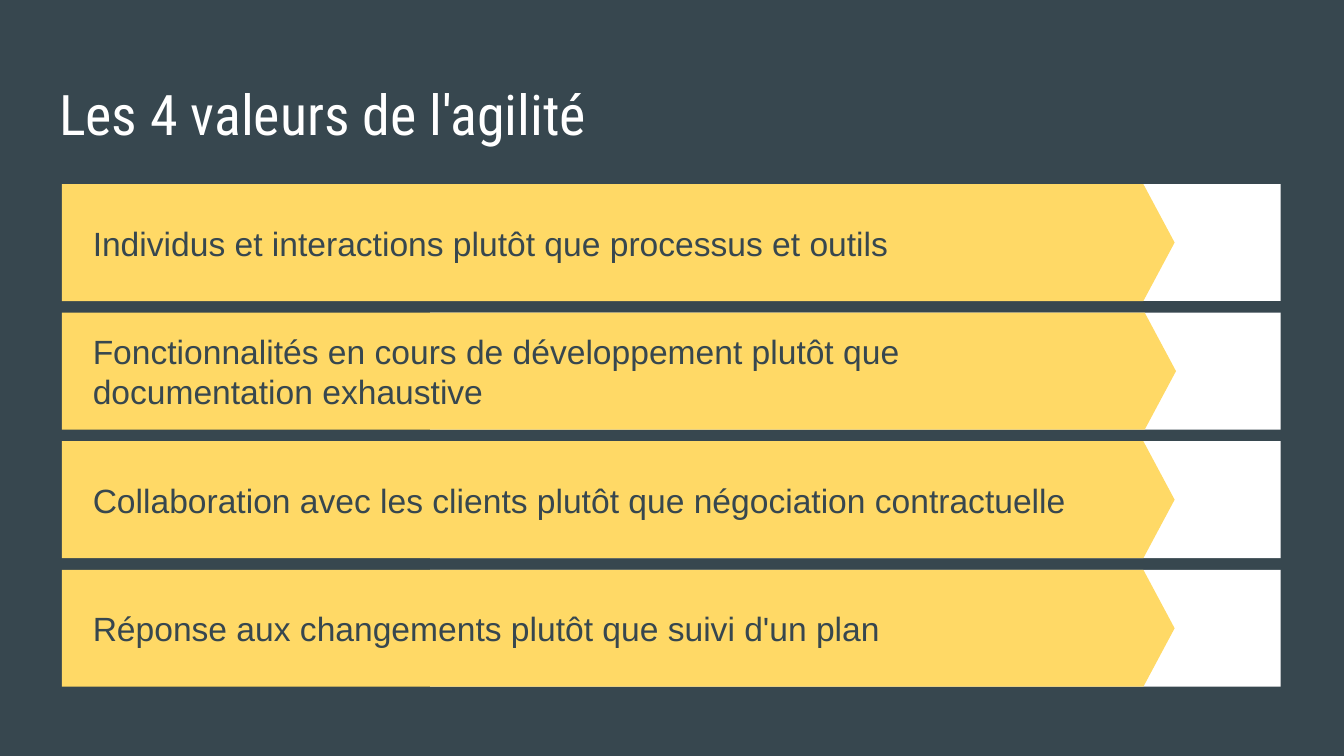
from pptx import Presentation
from pptx.dml.color import RGBColor
from pptx.enum.shapes import MSO_SHAPE
from pptx.enum.text import MSO_ANCHOR, MSO_AUTO_SIZE, PP_ALIGN
from pptx.oxml.ns import qn
from pptx.util import Inches, Pt

RECTANGLE = MSO_SHAPE.RECTANGLE
PENTAGON = MSO_SHAPE.PENTAGON
TOP, MIDDLE = MSO_ANCHOR.TOP, MSO_ANCHOR.MIDDLE
NO_AUTOFIT = MSO_AUTO_SIZE.NONE
LEFT = PP_ALIGN.LEFT

TITLE = "Les 4 valeurs de l'agilité"
VALUES = [
    ("Individus et interactions plutôt que processus et outils", 8.28, 7.69),
    ("Fonctionnalités en cours de développement plutôt que documentation exhaustive", 8.29, 7.76),
    ("Collaboration avec les clients plutôt que négociation contractuelle", 8.28, 7.87),
    ("Réponse aux changements plutôt que suivi d'un plan", 8.28, 7.87),
]
COLORS = {"slate": "37474F", "yellow": "FFD966", "white": "FFFFFF"}

SLIDE_WIDTH = 10
SLIDE_HEIGHT = SLIDE_WIDTH * 9 / 16
FIRST_ROW_TOP, LAST_ROW_TOP, ROW_HEIGHT = 1.37, 4.24, 0.87
ROW_STEP = (LAST_ROW_TOP - FIRST_ROW_TOP) / (len(VALUES) - 1)
ARROW_LEFT, TEXT_LEFT = 0.46, 0.59
BAND_LEFT, BAND_WIDTH = 3.2, 6.33
ARROW_POINT = 0.267
INSET = 0.1
COMPARISON_LAYOUT = 4


def color(name):
    return RGBColor.from_string(COLORS[name])


def add_bar(group, kind, left, top, width, fill):
    shape = group.shapes.add_shape(
        kind, Inches(left), Inches(top), Inches(width), Inches(ROW_HEIGHT))
    shape.shadow.inherit = False
    shape.fill.solid()
    shape.fill.fore_color.rgb = color(fill)
    shape.line.fill.background()
    return shape


def fill_placeholder(placeholder, text, box, font, size, fill, anchor):
    placeholder.left, placeholder.top, placeholder.width, placeholder.height = map(Inches, box)
    frame = placeholder.text_frame
    frame.word_wrap = True
    frame.auto_size = NO_AUTOFIT
    frame.vertical_anchor = anchor
    frame.margin_left = frame.margin_right = Inches(INSET)
    frame.margin_top = frame.margin_bottom = Inches(INSET)
    paragraph = frame.paragraphs[0]
    paragraph.alignment = LEFT
    paragraph.line_spacing = 1.0
    paragraph.space_before = paragraph.space_after = Pt(0)
    properties = paragraph._p.get_or_add_pPr()
    properties.set("marL", "0")
    properties.set("indent", "0")
    properties.append(properties.makeelement(qn("a:buNone"), {}))
    run = paragraph.add_run()
    run.text = text
    run.font.name = font
    run.font.size = Pt(size)
    run.font.bold = False
    run.font.color.rgb = color(fill)


def main():
    presentation = Presentation()
    presentation.slide_width = Inches(SLIDE_WIDTH)
    presentation.slide_height = Inches(SLIDE_HEIGHT)
    slide = presentation.slides.add_slide(presentation.slide_layouts[COMPARISON_LAYOUT])
    slide.background.fill.solid()
    slide.background.fill.fore_color.rgb = color("slate")

    title, *bodies = list(slide.placeholders)
    fill_placeholder(title, TITLE, (0.34, 0.49, 9.32, 0.63),
                     "Roboto Condensed", 30, "white", TOP)

    for row, (body, (text, arrow_width, text_width)) in enumerate(zip(bodies, VALUES)):
        top = FIRST_ROW_TOP + row * ROW_STEP
        group = slide.shapes.add_group_shape()
        add_bar(group, RECTANGLE, BAND_LEFT, top, BAND_WIDTH, "white")
        arrow = add_bar(group, PENTAGON, ARROW_LEFT, top, arrow_width, "yellow")
        arrow.adjustments[0] = ARROW_POINT
        fill_placeholder(body, text, (TEXT_LEFT, top, text_width, ROW_HEIGHT),
                         "Arial", 18, "slate", MIDDLE)
        group._element.addnext(body._element)

    presentation.save("out.pptx")


if __name__ == "__main__":
    main()
